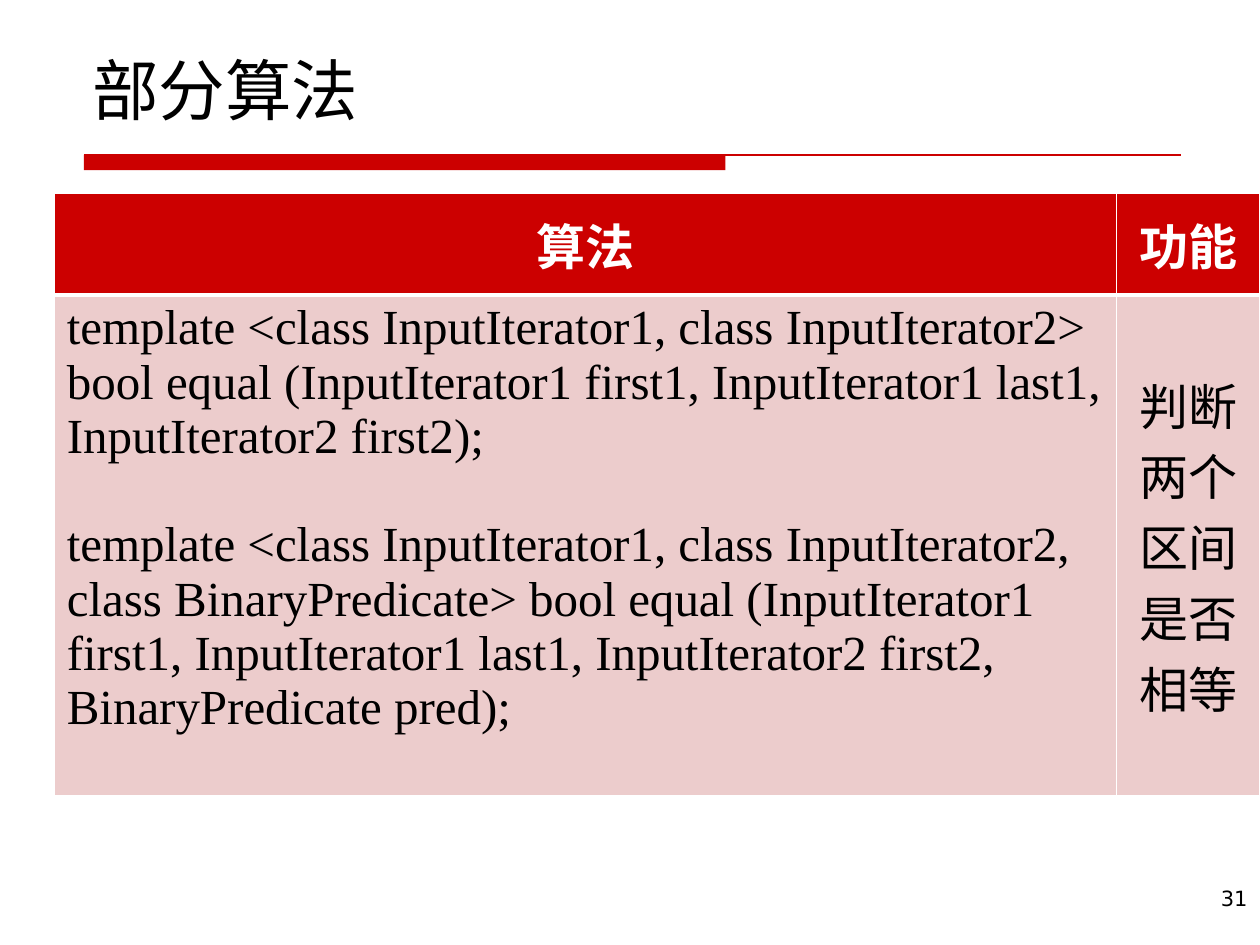
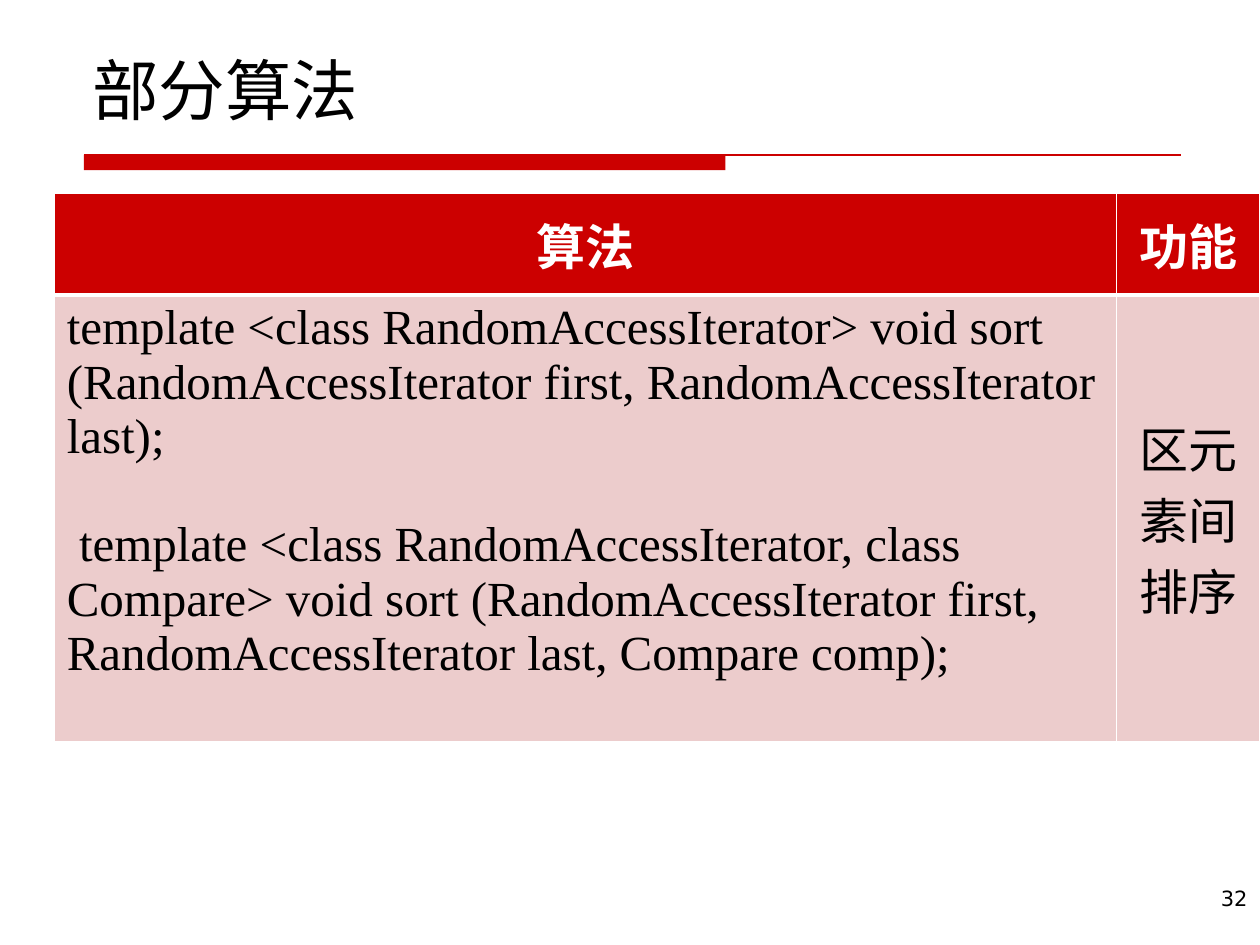
"""Build two slides that describe standard library algorithms in tables."""
from dataclasses import dataclass

from lxml import etree
from pptx import Presentation
from pptx import util as u
from pptx.dml.color import RGBColor
from pptx.enum import shapes, text
from pptx.oxml.ns import qn

COLORS = {"red": "CC0000", "pink": "ECCCCC", "white": "FFFFFF", "black": "000000"}
SERIF = "Times New Roman"
SANS = "DejaVu Sans"
TITLE = "部分算法"
HEADERS = ("算法", "功能")
COLUMN_WIDTHS = (607, 82)
HEADER_HEIGHT = 58.3
CODE_LINE = 31
CELL_MARGIN = 3.6
TITLE_ONLY = 5


@dataclass(frozen=True)
class TextStyle:
    """Appearance of a run of text."""
    size: float
    color: str = "black"
    font: str = SERIF
    bold: bool = False


@dataclass(frozen=True)
class Algorithm:
    """Content of one slide."""
    page: int
    signatures: tuple[str, ...]
    purpose: str
    code_lines: int


TITLE_STYLE = TextStyle(38)
HEADER_STYLE = TextStyle(28, "white", bold=True)
BODY_STYLE = TextStyle(28)
NUMBER_STYLE = TextStyle(12, font=SANS)

ALGORITHMS = (
    Algorithm(
        31,
        ("template <class InputIterator1, class InputIterator2> bool equal "
         "(InputIterator1 first1, InputIterator1 last1, InputIterator2 first2);",
         "template <class InputIterator1, class InputIterator2, class BinaryPredicate> "
         "bool equal (InputIterator1 first1, InputIterator1 last1, "
         "InputIterator2 first2, BinaryPredicate pred);"),
        "判断两个区间是否相等", 9),
    Algorithm(
        32,
        ("template <class RandomAccessIterator> void sort "
         "(RandomAccessIterator first, RandomAccessIterator last);",
         " template <class RandomAccessIterator, class Compare> void sort "
         "(RandomAccessIterator first, RandomAccessIterator last, Compare comp);"),
        "区元素间排序", 8),
)


def rgb(name: str) -> RGBColor:
    """Return a named colour."""
    return RGBColor.from_string(COLORS[name])


def write(frame, lines: tuple[str, ...], style: TextStyle, alignment, gap: float = 0) -> None:
    """Fill a text frame with one paragraph per line."""
    for index, line in enumerate(lines):
        paragraph = frame.add_paragraph() if index else frame.paragraphs[0]
        paragraph.text = line
        paragraph.alignment = alignment
        if index:
            paragraph.space_before = u.Pt(gap)
        for run in paragraph.runs:
            run.font.name = style.font
            run.font.size = u.Pt(style.size)
            run.font.bold = style.bold
            run.font.color.rgb = rgb(style.color)


def add_title(slide) -> None:
    """Place and format the title placeholder."""
    title = slide.shapes.title
    title.left, title.top, title.width, title.height = map(u.Pt, (45.4, 23.8, 630, 53.3))
    frame = title.text_frame
    frame.auto_size = text.MSO_AUTO_SIZE.NONE
    frame.vertical_anchor = text.MSO_ANCHOR.BOTTOM
    write(frame, (TITLE,), TITLE_STYLE, text.PP_ALIGN.LEFT)


def add_title_rule(slide) -> None:
    """Draw the thick bar and thin line below the title."""
    left, top = u.Pt(48), u.Pt(88.5)
    bar = slide.shapes.add_shape(shapes.MSO_SHAPE.RECTANGLE, left, top, u.Pt(366.5), u.Pt(8.7))
    bar.shadow.inherit = False
    bar.fill.solid()
    bar.fill.fore_color.rgb = rgb("red")
    bar.line.fill.background()
    line = slide.shapes.add_connector(shapes.MSO_CONNECTOR.STRAIGHT, left, top, u.Pt(674.6), top)
    line.line.color.rgb = rgb("red")
    line.line.width = u.Pt(0.75)
    etree.SubElement(line._element.spPr, qn("a:effectLst"))


def add_number(slide, page: int) -> None:
    """Write the page number in the lower right corner."""
    box = slide.shapes.add_textbox(*map(u.Pt, (566, 502.5, 154, 37.5)))
    box.text_frame.word_wrap = True
    write(box.text_frame, (str(page),), NUMBER_STYLE, text.PP_ALIGN.RIGHT)


def format_cell(cell, fill: str, anchor, borders: dict[str, float]) -> None:
    """Set the fill, anchor and white borders of a cell."""
    cell.vertical_anchor = anchor
    properties = cell._tc.get_or_add_tcPr()
    for side, width in borders.items():
        border = etree.SubElement(properties, qn(f"a:ln{side}"), w=str(u.Pt(width)))
        solid = etree.SubElement(border, qn("a:solidFill"))
        etree.SubElement(solid, qn("a:srgbClr"), val=COLORS["white"])
    cell.fill.solid()
    cell.fill.fore_color.rgb = rgb(fill)


def add_algorithm_table(slide, algorithm: Algorithm) -> None:
    """Add the table of signatures and purpose."""
    body_height = algorithm.code_lines * CODE_LINE + 2 * CELL_MARGIN
    frame = slide.shapes.add_table(
        2, 2, u.Pt(31), u.Pt(110.2), u.Pt(sum(COLUMN_WIDTHS)), u.Pt(HEADER_HEIGHT + body_height))
    table = frame.table
    table.horz_banding = False
    for column, width in zip(table.columns, COLUMN_WIDTHS):
        column.width = u.Pt(width)
    for row, height in zip(table.rows, (HEADER_HEIGHT, body_height)):
        row.height = u.Pt(height)
    center, middle = text.PP_ALIGN.CENTER, text.MSO_ANCHOR.MIDDLE
    for column, header in enumerate(HEADERS):
        cell = table.cell(0, column)
        write(cell.text_frame, (header,), HEADER_STYLE, center)
        format_cell(cell, "red", middle, {"L": 1, "R": 1, "T": 1, "B": 3})
    code, purpose = table.cell(1, 0), table.cell(1, 1)
    write(code.text_frame, algorithm.signatures, BODY_STYLE, text.PP_ALIGN.LEFT, CODE_LINE)
    write(purpose.text_frame, (algorithm.purpose,), BODY_STYLE, center)
    for cell, anchor in ((code, text.MSO_ANCHOR.TOP), (purpose, middle)):
        format_cell(cell, "pink", anchor, {"L": 1, "R": 1, "T": 3, "B": 1})


def main() -> None:
    """Build and save the presentation."""
    presentation = Presentation()
    presentation.slide_width, presentation.slide_height = u.Pt(720), u.Pt(540)
    for algorithm in ALGORITHMS:
        slide = presentation.slides.add_slide(presentation.slide_layouts[TITLE_ONLY])
        add_title_rule(slide)
        add_number(slide, algorithm.page)
        add_title(slide)
        add_algorithm_table(slide, algorithm)
    presentation.save("out.pptx")


if __name__ == "__main__":
    main()
